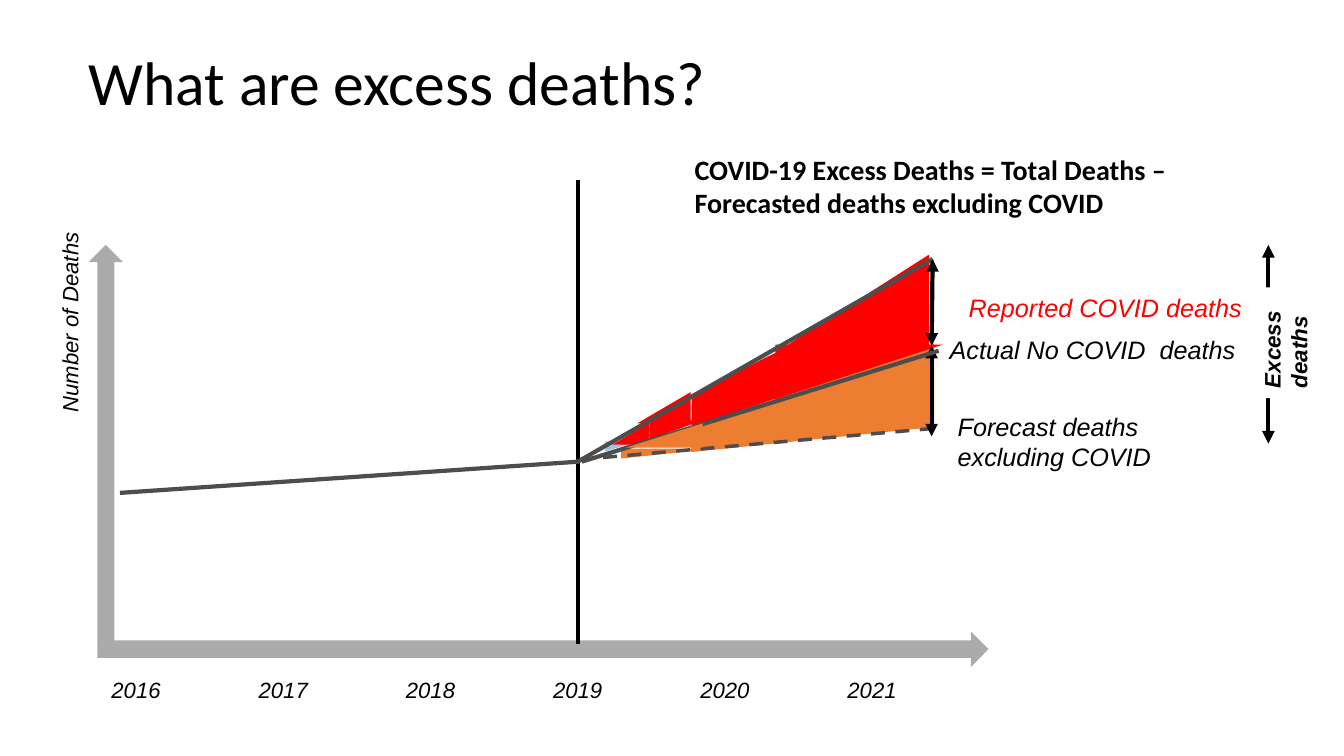
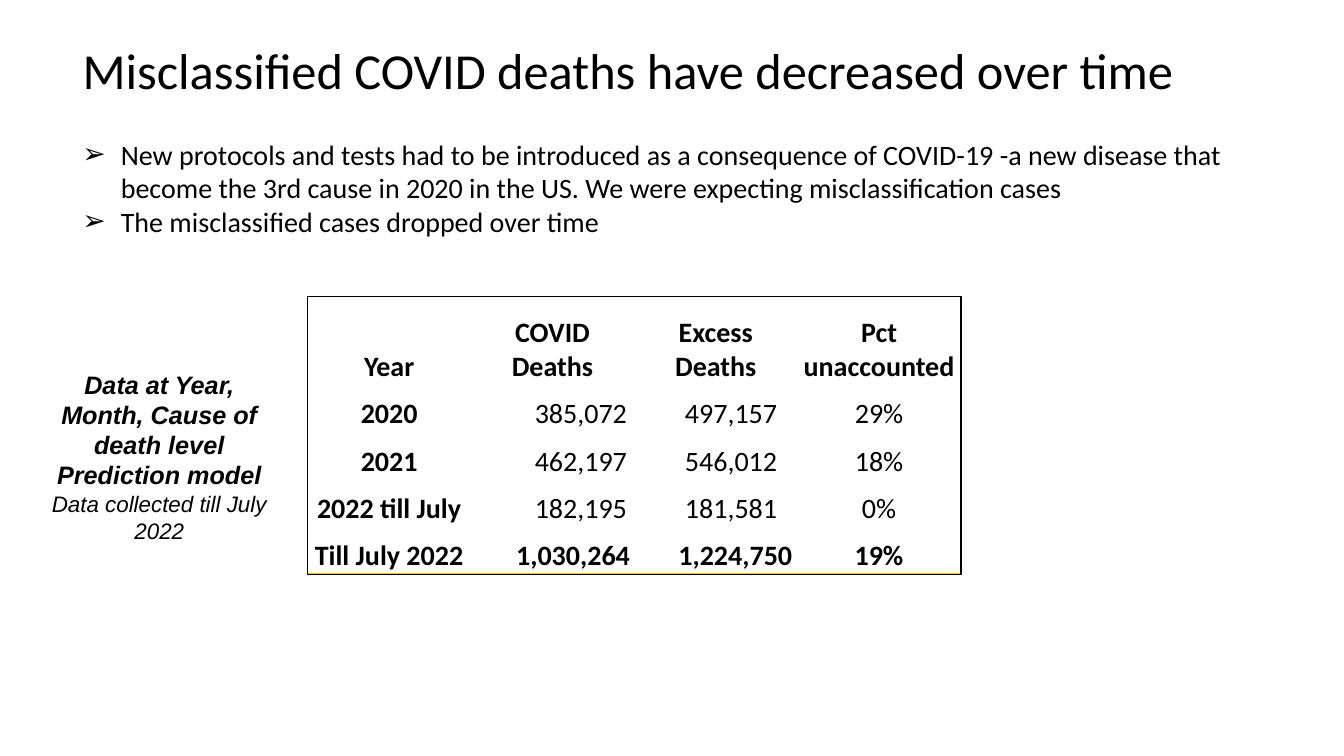
"""Build two slides that explain excess deaths and show how misclassification fell."""
from dataclasses import dataclass

from lxml.etree import SubElement
from pptx import Presentation
from pptx.dml.color import RGBColor
from pptx.enum.dml import MSO_LINE_DASH_STYLE as Dash
from pptx.enum.shapes import MSO_CONNECTOR as Connector, MSO_SHAPE as Shape
from pptx.enum.text import MSO_ANCHOR as Anchor, PP_ALIGN as Align
from pptx.oxml.ns import qn
from pptx.util import Inches, Pt


@dataclass(frozen=True)
class Theme:
    black: str = "000000"
    white: str = "FFFFFF"
    red: str = "FF0000"
    orange: str = "ED7D31"
    pale_blue: str = "9DC3E6"
    axis_grey: str = "ABABAB"
    trend_grey: str = "4D4D4D"
    table_edge: str = "FFC000"
    heading_font: str = "Calibri"
    label_font: str = "Arial"
    title: float = 44
    long_title: float = 36
    body: float = 20
    label: float = 18
    note: float = 16
    axis: float = 15.8


THEME = Theme()


def apply(target, values):
    for name, value in values.items():
        setattr(target, name, value)


def rgb(color):
    return RGBColor.from_string(color)


class SlideBuilder:
    def __init__(self):
        self.deck = Presentation()
        apply(self.deck, {"slide_width": Inches(13.33), "slide_height": Inches(7.5)})
        self.page = None

    def new_page(self):
        self.page = self.deck.slides.add_slide(self.deck.slide_layouts[6])

    def span(self, para, text, size, color=THEME.black, font=THEME.heading_font, **styles):
        span = para.add_run()
        span.text = text
        apply(span.font, {"name": font, "size": Pt(size), **styles})
        span.font.color.rgb = rgb(color)

    def text(self, frame, lines, align=Align.LEFT, anchor=Anchor.TOP, turn=0,
             fill=None, spacing=None, bullet=None):
        box = self.page.shapes.add_textbox(*map(Inches, frame))
        box.rotation = turn
        if fill:
            box.fill.solid()
            box.fill.fore_color.rgb = rgb(fill)
        body = box.text_frame
        apply(body, {"word_wrap": True, "vertical_anchor": anchor})
        for index, (words, style) in enumerate(lines):
            para = body.add_paragraph() if index else body.paragraphs[0]
            apply(para, {"alignment": align, "line_spacing": spacing})
            if bullet:
                properties = para._p.get_or_add_pPr()
                properties.set("marL", str(Inches(0.38)))
                properties.set("indent", str(Inches(-0.38)))
                SubElement(properties, qn("a:buFont")).set("typeface", THEME.label_font)
                SubElement(properties, qn("a:buChar")).set("char", bullet)
            self.span(para, words, **style)

    def label(self, frame, words, size=THEME.label, color=THEME.black, bold=False, **options):
        style = {"size": size, "color": color, "font": THEME.label_font,
                 "italic": True, "bold": bold}
        self.text(frame, [(words, style)], **options)

    def title(self, frame, words, size):
        self.text(frame, [(words, {"size": size})], anchor=Anchor.MIDDLE, spacing=0.9)

    def shape(self, kind, frame, fill=None, turn=0, outline=None):
        shape = self.page.shapes.add_shape(kind, *map(Inches, frame))
        shape.rotation = turn
        shape.shadow.inherit = False
        for paint, color in ((shape.fill, fill), (shape.line.fill, outline)):
            if color:
                paint.solid()
                paint.fore_color.rgb = rgb(color)
            else:
                paint.background()
        if outline:
            shape.line.width = Pt(1)

    def line(self, start, end, color=THEME.black, width=3, dash=None, arrows=False):
        line = self.page.shapes.add_connector(Connector.STRAIGHT, *map(Inches, start + end))
        line.line.color.rgb = rgb(color)
        apply(line.line, {"width": Pt(width), "dash_style": dash})
        properties = line._element.spPr
        if arrows:
            stroke = properties.find(qn("a:ln"))
            for tag in ("a:headEnd", "a:tailEnd"):
                SubElement(stroke, qn(tag)).set("type", "triangle")
        SubElement(properties, qn("a:effectLst"))

    def edge(self, cell, side):
        stroke = SubElement(cell._tc.get_or_add_tcPr(), qn(f"a:ln{side}"))
        stroke.set("w", str(Pt(0.5)))
        paint = SubElement(stroke, qn("a:solidFill"))
        SubElement(paint, qn("a:srgbClr")).set("val", THEME.table_edge)

    def table(self, frame, rows, heights, insets):
        last_row, last_column = len(rows) - 1, len(rows[0]) - 1
        holder = self.page.shapes.add_table(len(rows), len(rows[0]), *map(Inches, frame))
        grid = holder.table
        apply(grid, {"first_row": False, "horz_banding": False})
        for column in grid.columns:
            column.width = Inches(frame[2] / len(rows[0]))
        for r, row in enumerate(rows):
            grid.rows[r].height = Inches(heights[r])
            for c, words in enumerate(row):
                cell = grid.cell(r, c)
                number = r > 0 and 0 < c < last_column
                right = insets[r == last_row][c - 1] if number else 0.01
                apply(cell, {"margin_left": Inches(0.01), "margin_top": Inches(0.01),
                             "margin_right": Inches(right), "margin_bottom": 0,
                             "vertical_anchor": Anchor.BOTTOM})
                for side, outer in (("L", c == 0), ("R", c == last_column),
                                    ("T", r == 0), ("B", r == last_row)):
                    if outer:
                        self.edge(cell, side)
                cell.fill.background()
                para = cell.text_frame.paragraphs[0]
                para.alignment = Align.RIGHT if number else Align.CENTER
                self.span(para, words, THEME.body, bold=r in (0, last_row) or c == 0)


def excess_deaths(builder):
    builder.new_page()
    builder.title((0.78, 0.12, 11.5, 1.45), "What are excess deaths?", THEME.title)
    builder.line((12.58, 2.43), (12.58, 4.4), arrows=True)

    wedges = [
        ((6.57, 4.04, 0.1, 0.92), THEME.orange, 90),
        ((7.9, 3.2, 0.24, 2.33), THEME.orange, 90),
        ((6.11, 4.27, 0.1, 0.32), THEME.pale_blue, 90),
        ((6.15, 4.12, 0.22, 0.36), THEME.red, 270),
        ((6.61, 4, 0.19, 0.53), THEME.red, 90),
        ((6.43, 3.78, 0.31, 0.53), THEME.red, 270),
        ((7.18, 3.6, 0.31, 0.95), THEME.red, 90),
        ((7.04, 3.25, 0.46, 0.92), THEME.red, 270),
        ((7.64, 2.62, 0.84, 2.41), THEME.orange, 270),
        ((8.25, 2.86, 0.54, 1.66), THEME.red, 90),
        ((8.06, 2.27, 0.9, 1.41), THEME.red, 270),
    ]
    for frame, fill, turn in wedges:
        builder.shape(Shape.RIGHT_TRIANGLE, frame, fill, turn)

    builder.shape(Shape.UP_ARROW, (0.88, 2.43, 0.34, 3.93), THEME.axis_grey)
    builder.shape(Shape.UP_ARROW, (5.21, 2.02, 0.35, 8.84), THEME.axis_grey, 90)
    builder.label((-0.33, 2.98, 2.05, 0.37), "Number of Deaths", THEME.axis, turn=270)
    for index, year in enumerate(range(2016, 2022)):
        builder.label((0.9 + 1.46 * index, 6.66, 0.9, 0.37), str(year), THEME.axis,
                      align=Align.CENTER)

    builder.line((5.74, 4.56), (9.26, 4.25), THEME.trend_grey, 2.5, Dash.DASH)
    builder.line((5.73, 1.79), (5.73, 6.39))
    for start, end in (((1.19, 4.89), (5.74, 4.58)), ((5.73, 4.58), (9.25, 2.57))):
        builder.line(start, end, THEME.trend_grey)
    for start, end in (((9.25, 2.57), (9.24, 3.43)), ((9.24, 3.43), (9.24, 4.33))):
        builder.line(start, end, arrows=True)
    builder.line((5.77, 4.58), (9.31, 3.48), THEME.trend_grey)

    formula = "COVID-19 Excess Deaths = Total Deaths – Forecasted deaths excluding COVID"
    builder.text((6.79, 1.46, 5.21, 0.77), [(formula, {"size": THEME.body, "bold": True})])
    builder.label((9.51, 2.85, 3, 0.4), "Reported COVID deaths", color=THEME.red)
    builder.label((9.32, 3.27, 3.08, 0.4), "Actual No COVID  deaths")
    builder.label((9.4, 4.03, 3.11, 0.71), "Forecast deaths excluding COVID")
    builder.shape(Shape.RIGHT_TRIANGLE, (6.47, 3.94, 0.24, 0.76), THEME.orange, 270)
    builder.label((12.2, 3.08, 1.1, 0.64), "Excess deaths", THEME.note, bold=True,
                  turn=270, fill=THEME.white)


def misclassified_deaths(builder):
    builder.new_page()
    builder.title((0.72, 0.12, 11.89, 1.21),
                  "Misclassified COVID deaths have decreased over time", THEME.long_title)
    table_frame = (3.05, 2.94, 6.48, 2.76)
    rows = [
        ("Year", "COVID Deaths", "Excess Deaths", "Pct unaccounted"),
        ("2020", "385,072", "497,157", "29%"),
        ("2021", "462,197", "546,012", "18%"),
        ("2022 till July", "182,195", "181,581", "0%"),
        ("Till July 2022", "1,030,264", "1,224,750", "19%"),
    ]
    builder.table(table_frame, rows, [0.87] + [0.47] * 4, ((0.07, 0.2), (0.04, 0.05)))

    strong = {"size": THEME.label, "font": THEME.label_font, "bold": True, "italic": True}
    builder.text((0.4, 3.61, 2.36, 1.92), [
        ("Data at Year, Month, Cause of death level", strong),
        ("Prediction model", strong),
        ("Data collected till July 2022", {**strong, "size": THEME.note, "bold": False}),
    ], align=Align.CENTER, fill=THEME.white)
    builder.shape(Shape.RECTANGLE, table_frame, outline=THEME.black)

    points = (
        "New protocols and tests had to be introduced as a consequence of COVID-19 "
        "-a new disease that become the 3rd cause in 2020 in the US. "
        "We were expecting misclassification cases",
        "The misclassified cases dropped over time",
    )
    builder.text((0.72, 1.31, 11.54, 1.11),
                 [(point, {"size": THEME.body}) for point in points], bullet="➢")


def main():
    builder = SlideBuilder()
    excess_deaths(builder)
    misclassified_deaths(builder)
    builder.deck.save("out.pptx")


if __name__ == "__main__":
    main()
